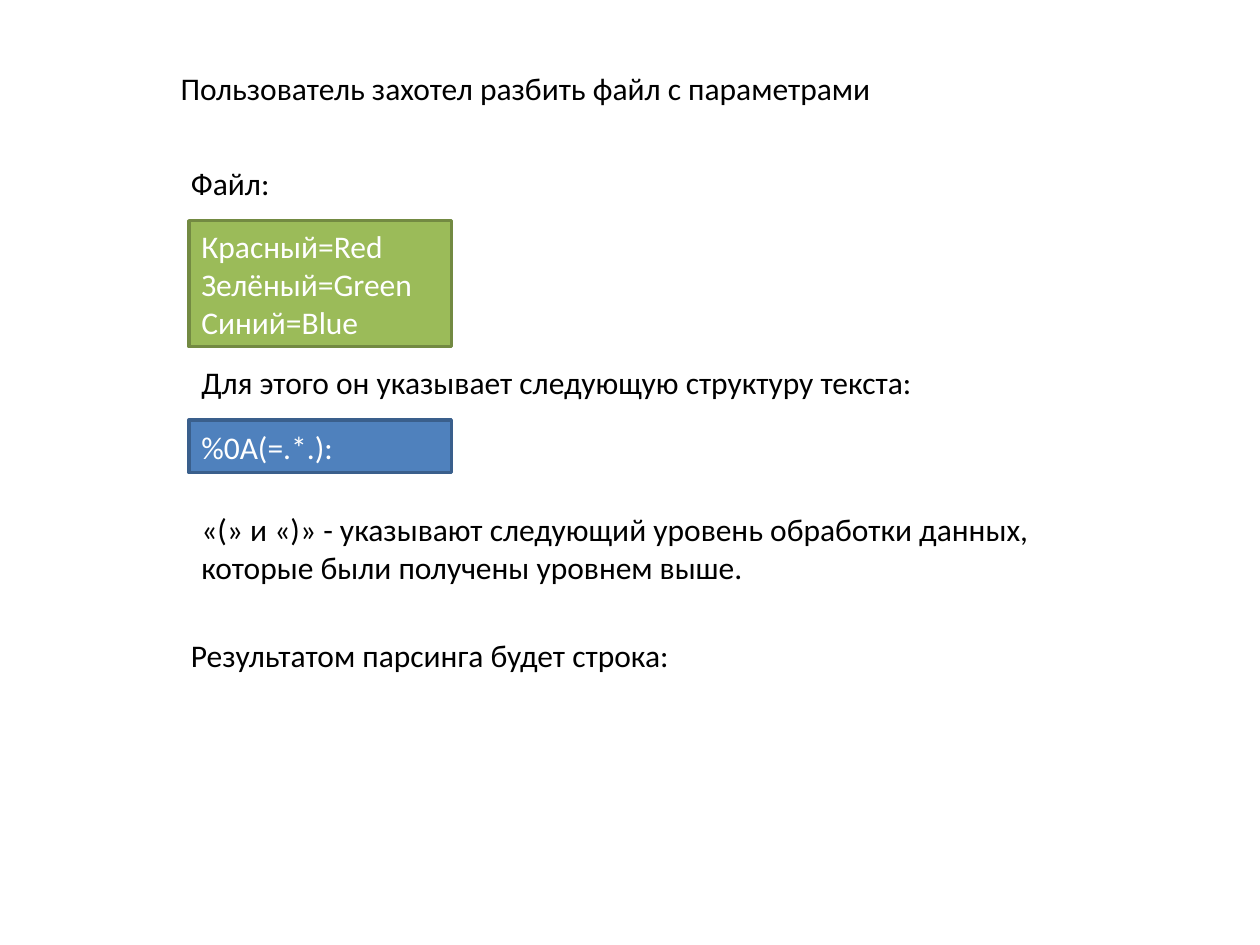
from dataclasses import dataclass

from pptx import Presentation
from pptx import util as u
from pptx.dml.color import RGBColor
from pptx.enum import shapes, text


@dataclass(frozen=True)
class Theme:
    font: str = "Calibri"
    size: int = 18
    border: int = 2
    ink: str = "000000"
    paper: str = "FFFFFF"
    green: str = "9BBB59"
    green_edge: str = "738A42"
    blue: str = "4F81BD"
    blue_edge: str = "3A5F8C"


THEME = Theme()
LEFT = 3.81
LABEL_LEFT = 3.6
PANEL_WIDTH = 5.29
LINE_HEIGHT = 1.03


def write_lines(frame, lines, color):
    for index, line in enumerate(lines):
        para = frame.paragraphs[0] if index == 0 else frame.add_paragraph()
        para.text = line
        para.alignment = text.PP_ALIGN.LEFT
        para.font.name = THEME.font
        para.font.size = u.Pt(THEME.size)
        para.font.color.rgb = RGBColor.from_string(color)


def add_note(page, left, top, width, line, height=LINE_HEIGHT, wrap=True):
    box = page.shapes.add_textbox(u.Cm(left), u.Cm(top), u.Cm(width), u.Cm(height))
    frame = box.text_frame
    frame.word_wrap = wrap
    frame.auto_size = text.MSO_AUTO_SIZE.SHAPE_TO_FIT_TEXT
    write_lines(frame, [line], THEME.ink)


def add_panel(page, top, height, lines, fill, edge):
    panel = page.shapes.add_shape(
        shapes.MSO_SHAPE.RECTANGLE,
        u.Cm(LEFT), u.Cm(top), u.Cm(PANEL_WIDTH), u.Cm(height),
    )
    panel.shadow.inherit = False
    panel.fill.solid()
    panel.fill.fore_color.rgb = RGBColor.from_string(fill)
    panel.line.color.rgb = RGBColor.from_string(edge)
    panel.line.width = u.Pt(THEME.border)
    frame = panel.text_frame
    frame.word_wrap = True
    frame.vertical_anchor = text.MSO_ANCHOR.MIDDLE
    write_lines(frame, lines, THEME.paper)


def main():
    deck = Presentation()
    deck.slide_width = u.Cm(25.4)
    deck.slide_height = u.Cm(19.05)
    page = deck.slides.add_slide(deck.slide_layouts[6])

    file_lines = ["Красный=Red", "Зелёный=Green", "Синий=Blue"]
    add_panel(page, 4.45, 2.54, file_lines, THEME.green, THEME.green_edge)
    add_note(page, 3.39, 1.27, 17.57, "Пользователь захотел разбить файл с параметрами")
    add_note(page, LABEL_LEFT, 3.18, 2.11, "Файл:", wrap=False)
    add_note(page, LEFT, 7.2, 15.01,
             "Для этого он указывает следующую структуру текста:", wrap=False)
    add_panel(page, 8.47, 1.06, ["%0A(=.*.):"], THEME.blue, THEME.blue_edge)
    add_note(page, LEFT, 10.16, 18.42,
             "«(» и «)» - указывают следующий уровень обработки данных, "
             "которые были получены уровнем выше.", height=1.8)
    add_note(page, LABEL_LEFT, 12.7, 10.26, "Результатом парсинга будет строка:", wrap=False)

    deck.save("out.pptx")


main()
